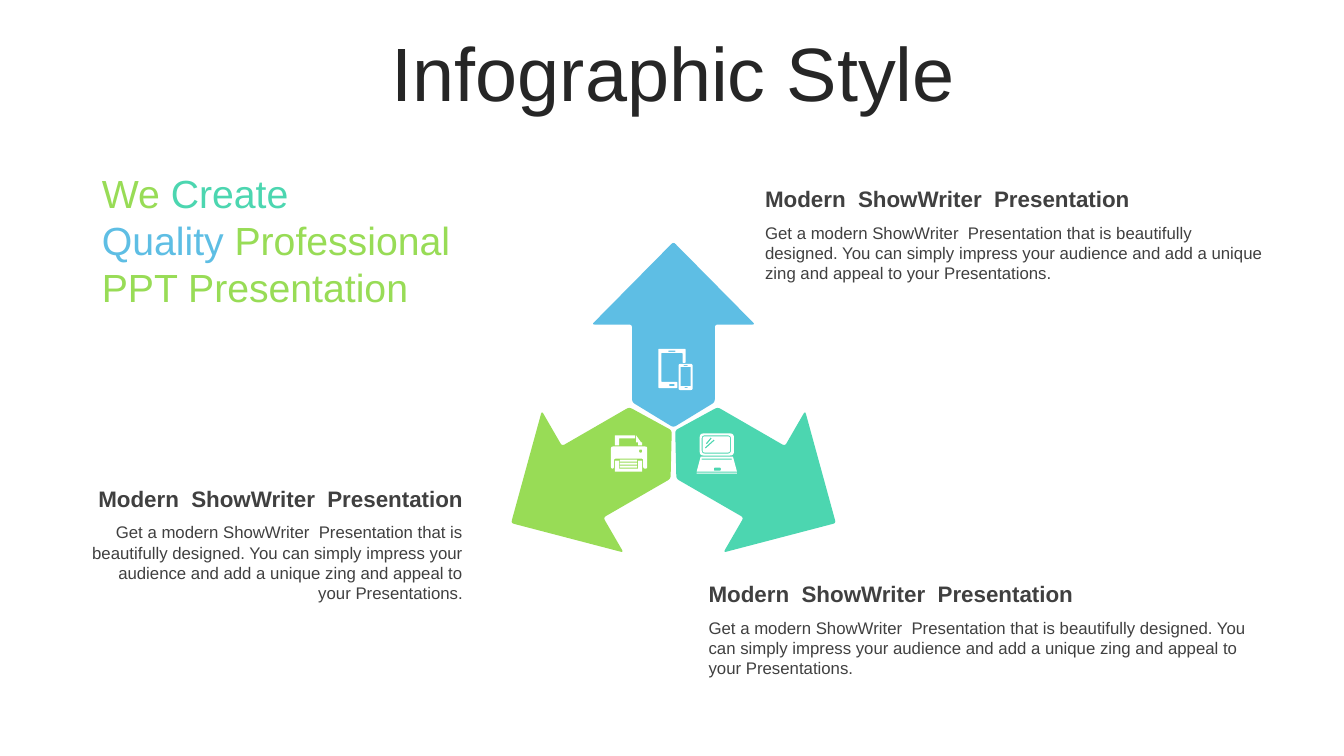
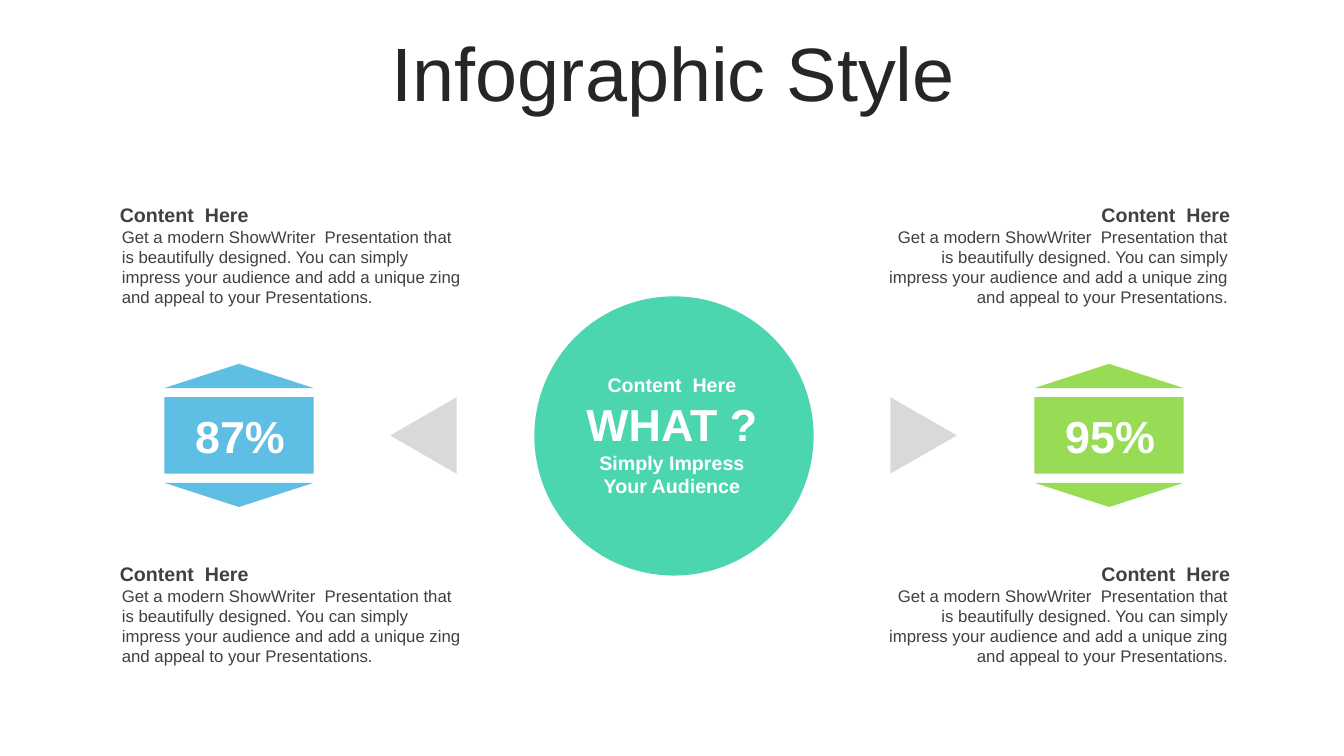
from dataclasses import dataclass
from math import cos, dist, radians, sin

from pptx import Presentation
from pptx.dml.color import RGBColor
from pptx.enum.shapes import MSO_SHAPE as Preset
from pptx.enum.text import MSO_ANCHOR as Anchor, PP_ALIGN as Align
from pptx.util import Inches, Pt


@dataclass(frozen=True)
class Theme:
    font: str = "Arial"
    green: str = "98DC56"
    teal: str = "4CD6B0"
    blue: str = "5EBEE4"
    grey: str = "D9D9D9"
    white: str = "FFFFFF"
    ink: str = "262626"
    body_ink: str = "404040"
    title_size: int = 54
    figure_size: int = 32
    slogan_size: int = 28
    heading_size: int = 16
    label_size: int = 14
    body_size: int = 12


THEME = Theme()
BODY = ("Get a modern ShowWriter  Presentation that is beautifully designed. "
        "You can simply impress your audience and add a unique zing and "
        "appeal to your Presentations.")
HEADING = "Modern  ShowWriter  Presentation"
LABEL = "Content  Here"
CENTRE = 6.68


def write(page, box, lines, size, color=THEME.body_ink, bold=False,
          align=Align.LEFT, anchor=Anchor.TOP, margins=(0.1, 0.05), spacing=1.0):
    """Place a text box; each line is a string or a list of (text, color) spans."""
    frame = page.shapes.add_textbox(*map(Inches, box)).text_frame
    across, down = map(Inches, margins)
    settings = {"word_wrap": True, "vertical_anchor": anchor,
                "margin_left": across, "margin_right": across,
                "margin_top": down, "margin_bottom": down}
    for name, value in settings.items():
        setattr(frame, name, value)
    for index, line in enumerate(lines):
        para = frame.paragraphs[0] if index == 0 else frame.add_paragraph()
        para.alignment, para.line_spacing = align, spacing
        for text, ink in [(line, color)] if isinstance(line, str) else line:
            span = para.add_run()
            span.text = text
            for name, value in {"name": THEME.font, "size": Pt(size), "bold": bold}.items():
                setattr(span.font, name, value)
            span.font.color.rgb = RGBColor.from_string(ink)


def paint(shape, color):
    shape.shadow.inherit = False
    shape.fill.solid()
    shape.fill.fore_color.rgb = RGBColor.from_string(color)
    shape.line.fill.background()


def add_preset(page, preset, box, color, rotation=0):
    shape = page.shapes.add_shape(preset, *map(Inches, box))
    shape.rotation = rotation
    paint(shape, color)


def round_corners(points, radius):
    """Replace each corner by a short curve that starts radius away from it."""
    if not radius:
        return points
    rounded = []
    for index, corner in enumerate(points):
        before, after = points[index - 1], points[(index + 1) % len(points)]
        start, end = (
            [c + (n - c) * radius / dist(corner, near) for c, n in zip(corner, near)]
            for near in (before, after))
        for step in range(5):
            t = step / 4
            rounded.append(tuple(
                (1 - t) ** 2 * s + 2 * t * (1 - t) * c + t ** 2 * e
                for s, c, e in zip(start, corner, end)))
    return rounded


def add_outline(page, left, top, contours, color):
    """Draw closed contours, (points, radius) each, as one shape; inner ones are holes."""
    builder = None
    for points, radius in contours:
        start, *rest = [(Inches(left + x), Inches(top + y))
                        for x, y in round_corners(points, radius)]
        if builder is None:
            builder = page.shapes.build_freeform(*start)
        else:
            builder.move_to(*start)
        builder.add_line_segments(rest, close=True)
    paint(builder.convert_to_shape(), color)


def panel(left, top, width, height, radius=0):
    right, bottom = left + width, top + height
    return [(left, top), (right, top), (right, bottom), (left, bottom)], radius


TABLET = [
    ([(0, 0), (0.27, 0), (0.27, 0.14), (0.24, 0.14), (0.24, 0.04), (0.03, 0.04),
      (0.03, 0.33), (0.19, 0.33), (0.19, 0.39), (0, 0.39)], 0.01),
    panel(0.1, 0.02, 0.07, 0.01), panel(0.11, 0.35, 0.05, 0.02),
    panel(0.2, 0.15, 0.14, 0.26, 0.02), panel(0.22, 0.18, 0.1, 0.19),
    panel(0.25, 0.16, 0.04, 0.01), panel(0.26, 0.38, 0.03, 0.01),
]
LAPTOP = [
    panel(0, 0.39, 0.4, 0.01),
    ([(0.04, 0.23), (0.36, 0.23), (0.4, 0.38), (0, 0.38)], 0),
    panel(0.05, 0.25, 0.3, 0.01), panel(0.17, 0.34, 0.07, 0.03, 0.01),
    panel(0.03, 0, 0.34, 0.22, 0.04), panel(0.05, 0.02, 0.29, 0.18, 0.03),
    panel(0.06, 0.03, 0.27, 0.16, 0.02),
    ([(0.08, 0.14), (0.09, 0.15), (0.18, 0.07), (0.17, 0.06)], 0),
    ([(0.09, 0.1), (0.1, 0.11), (0.15, 0.05), (0.14, 0.04)], 0),
]
PRINTER = [
    ([(0.04, 0), (0.24, 0), (0.24, 0.03), (0.08, 0.03), (0.08, 0.1), (0.04, 0.1)], 0),
    ([(0.25, 0), (0.3, 0.07), (0.25, 0.07)], 0),
    panel(0.27, 0.07, 0.04, 0.03),
    ([(0, 0.11), (0.36, 0.11), (0.36, 0.33), (0.32, 0.33),
      (0.32, 0.23), (0.03, 0.23), (0.03, 0.33), (0, 0.33)], 0.02),
    panel(0.28, 0.14, 0.03, 0.03, 0.01),
    ([(0.04, 0.25), (0.08, 0.25), (0.08, 0.33), (0.27, 0.33),
      (0.27, 0.25), (0.31, 0.25), (0.31, 0.36), (0.04, 0.36)], 0),
    *[panel(0.09, 0.24 + 0.03 * row, 0.17, 0.02) for row in range(3)],
]


def add_arrow(page, hub_x, hub_y, angle, color):
    """Draw an arrow that points away from the hub, turned clockwise from upright."""
    half = [(0.81, -1.04), (0.41, -1.04), (0.41, -0.27)]
    upright = [(0, -1.86), *half, (0, -0.02), *[(-x, y) for x, y in reversed(half)]]
    turn = radians(angle)
    points = [(x * cos(turn) - y * sin(turn), x * sin(turn) + y * cos(turn))
              for x, y in upright]
    add_outline(page, hub_x, hub_y, [(points, 0.03)], color)


def add_three_arrows(page, hub_x, hub_y):
    parts = [(240, THEME.green, PRINTER, -0.62, 0.06),
             (120, THEME.teal, LAPTOP, 0.23, 0.04),
             (0, THEME.blue, TABLET, -0.15, -0.8)]
    for angle, color, icon, icon_x, icon_y in parts:
        add_arrow(page, hub_x, hub_y, angle, color)
        add_outline(page, hub_x + icon_x, hub_y + icon_y, icon, THEME.white)


def add_article(page, left, top, width, align=Align.LEFT):
    write(page, (left, top, width, 0.37), [HEADING], THEME.heading_size,
          bold=True, align=align)
    write(page, (left, top + 0.37, width, 0.91), [BODY], THEME.body_size, align=align)


def add_note(page, left, top, width, align):
    write(page, (left, top, width, 0.34), [LABEL], THEME.label_size,
          bold=True, align=align, anchor=Anchor.MIDDLE)
    write(page, (left + 0.02, top + 0.24, width - 0.04, 0.91), [BODY],
          THEME.body_size, align=align)


def add_badge(page, left, top, figure, color):
    width = 1.48
    add_preset(page, Preset.ISOSCELES_TRIANGLE, (left, top, width, 0.24), color)
    add_preset(page, Preset.RECTANGLE, (left, top + 0.33, width, 0.76), color)
    add_preset(page, Preset.ISOSCELES_TRIANGLE, (left, top + 1.18, width, 0.24), color, 180)
    write(page, (left + 0.01, top + 0.39, width, 0.64), [figure], THEME.figure_size,
          THEME.white, True, Align.CENTER, Anchor.MIDDLE)


def add_question(page, left, top, diameter):
    add_preset(page, Preset.OVAL, (left, top, diameter, diameter), THEME.teal)
    rows = [(0.71, 0.34, [LABEL], THEME.label_size),
            (0.94, 0.64, ["WHAT ?"], THEME.figure_size),
            (1.48, 0.57, ["Simply Impress", "Your Audience"], THEME.label_size)]
    for offset, height, lines, size in rows:
        write(page, (left + 0.16, top + offset, diameter - 0.36, height), lines, size,
              THEME.white, True, Align.CENTER, Anchor.MIDDLE)


def new_page(deck):
    page = deck.slides.add_slide(deck.slide_layouts[6])
    write(page, (0.35, 0.37, 12.66, 0.79), ["Infographic Style"], THEME.title_size,
          THEME.ink, align=Align.CENTER, anchor=Anchor.MIDDLE, spacing=0.9)
    return page


def build_arrows_page(deck):
    page = new_page(deck)
    add_three_arrows(page, CENTRE, 4.26)
    add_article(page, 6.93, 5.71, 5.56)
    add_article(page, 0.74, 4.76, 3.95, Align.RIGHT)
    add_article(page, 7.49, 1.79, 5.17)
    slogan = [[("We ", THEME.green), ("Create", THEME.teal)],
              [("Quality ", THEME.blue), ("Professional", THEME.green)],
              [("PPT Presentation", THEME.green)]]
    write(page, (0.97, 1.67, 3.95, 1.41), slogan, THEME.slogan_size,
          anchor=Anchor.MIDDLE, margins=(0.04, 0))


def build_question_page(deck):
    page = new_page(deck)
    add_question(page, 5.3, 2.94, 2.77)
    sides = [(1.63, "87%", THEME.blue, 3.82, 270, 1.09, 3.62, Align.LEFT),
             (10.26, "95%", THEME.green, 8.78, 90, 8.7, 3.6, Align.RIGHT)]
    for badge_x, figure, color, pointer_x, rotation, note_x, width, align in sides:
        add_preset(page, Preset.ISOSCELES_TRIANGLE, (pointer_x, 3.99, 0.76, 0.66),
                   THEME.grey, rotation)
        add_badge(page, badge_x, 3.61, figure, color)
        for note_y in (1.96, 5.52):
            add_note(page, note_x, note_y, width, align)


def main():
    deck = Presentation()
    deck.slide_width, deck.slide_height = Inches(13.33), Inches(7.5)
    build_arrows_page(deck)
    build_question_page(deck)
    deck.save("out.pptx")


if __name__ == "__main__":
    main()
